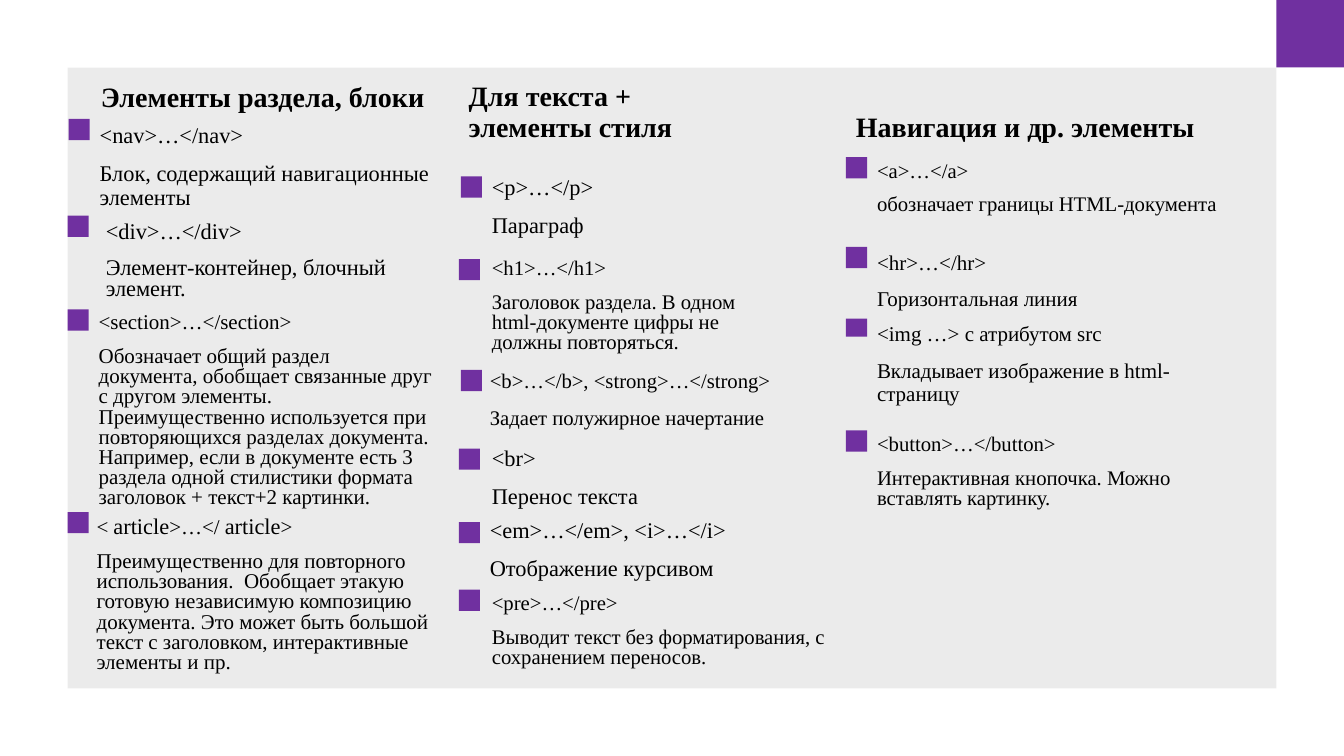
from lxml import etree
from pptx import Presentation
from pptx.dml.color import RGBColor
from pptx.enum.shapes import MSO_SHAPE
from pptx.enum.text import MSO_ANCHOR, MSO_AUTO_SIZE, PP_ALIGN
from pptx.oxml.ns import qn
from pptx.util import Inches, Pt

RECT = MSO_SHAPE.RECTANGLE
TOP, BOTTOM = MSO_ANCHOR.TOP, MSO_ANCHOR.BOTTOM
NO_FIT = MSO_AUTO_SIZE.NONE
LEFT = PP_ALIGN.LEFT
PURPLE = RGBColor(0x70, 0x30, 0xA0)
GRAY = RGBColor(0xD9, 0xD9, 0xD9)
BLACK = RGBColor(0, 0, 0)
SERIF, SANS = "Times New Roman", "Calibri"
MARK = 0.21

ARTICLE_TAG = [("<", 15, SERIF), (" ", 16, SANS), ("article", 16, SERIF),
               (">…</", 15, SERIF), (" ", 16, SANS), ("article", 16, SERIF),
               (">", 15, SERIF)]

# Each entry: text box, marker position and height, size, line spacing, tag, description.
SECTIONS = [
    ((0.89, 1.18, 3.61, 0.98), (0.68, 1.18, MARK), 16, 0.9, "<nav>…</nav>",
     "Блок, содержащий навигационные элементы"),
    ((0.95, 2.16, 3.01, 0.94), (0.67, 2.14, MARK), 16, 0.8, "<div>…</div>",
     "Элемент-контейнер, блочный элемент."),
    ((0.88, 3.06, 3.51, 2.13), (0.67, 3.07, MARK), 15, 0.8, "<section>…</section>",
     "Обозначает общий раздел документа, обобщает связанные друг с другом элементы. "
     "Преимущественно используется при повторяющихся разделах документа. Например, "
     "если в документе есть 3 раздела одной стилистики формата заголовок + текст+2 картинки."),
    ((0.86, 5.08, 3.61, 1.75), (0.67, 5.08, MARK), 15, 0.8, ARTICLE_TAG,
     "Преимущественно для повторного использования.  Обобщает этакую готовую "
     "независимую композицию документа. Это может быть большой текст с заголовком, "
     "интерактивные элементы и пр."),
]
TEXT_STYLES = [
    ((4.78, 1.7, 3.61, 0.88), (4.57, 1.75, MARK), 16, 0.9, "<p>…</p>", "Параграф"),
    ((4.78, 2.53, 2.94, 1.09), (4.55, 2.57, MARK), 14.8, 0.8, "<h1>…</h1>",
     "Заголовок раздела. В одном html-документе цифры не должны повторяться."),
    ((4.76, 3.63, 3.18, 0.81), (4.57, 3.67, MARK), 14.8, 0.9,
     "<b>…</b>, <strong>…</strong>", "Задает полужирное начертание"),
    ((4.78, 4.39, 3.18, 0.81), (4.55, 4.45, MARK), 16, 0.9, "<br>", "Перенос текста"),
    ((4.76, 5.1, 3.18, 0.81), (4.55, 5.18, MARK), 16, 0.9,
     "<em>…</em>, <i>…</i>", "Отображение курсивом"),
    ((4.78, 5.85, 3.61, 0.88), (4.55, 5.85, MARK), 14.8, 0.8, "<pre>…</pre>",
     "Выводит текст без форматирования, с сохранением переносов."),
]
NAVIGATION = [
    ((8.6, 1.56, 3.61, 0.88), (8.39, 1.56, MARK), 14.8, 0.8, "<a>…</a>",
     "обозначает границы HTML-документа"),
    ((8.6, 2.45, 3.72, 0.72), (8.39, 2.45, MARK), 15, 0.9, "<hr>…</hr>",
     "Горизонтальная линия"),
    ((8.6, 3.16, 3.61, 0.98), (8.39, 3.16, 0.18), 15, 0.9, "<img …> с атрибутом src",
     "Вкладывает изображение в html-страницу"),
    ((8.6, 4.27, 3.61, 0.88), (8.39, 4.27, MARK), 14.8, 0.8, "<button>…</button>",
     "Интерактивная кнопочка. Можно вставлять картинку."),
]
COLUMNS = [
    ("Элементы раздела, блоки", (0.9, 0.76, 3.49, 0.42), SECTIONS),
    ("Для текста + элементы стиля", (4.55, 0.76, 2.29, 0.71), TEXT_STYLES),
    ("Навигация и др. элементы", (8.39, 0.76, 3.93, 0.71), NAVIGATION),
]


def set_format(target, values):
    """Set each attribute named in values on target."""
    for name, value in values.items():
        setattr(target, name, value)


def add_block(s, box, color, alpha=None):
    """Draw a plain filled rectangle, optionally translucent."""
    sp = s.shapes.add_shape(RECT, *map(Inches, box))
    sp.shadow.inherit = False
    sp.fill.solid()
    sp.fill.fore_color.rgb = color
    sp.line.fill.background()
    if alpha is not None:
        clr = sp.element.spPr.find(".//" + qn("a:srgbClr"))
        etree.SubElement(clr, qn("a:alpha")).set("val", str(alpha * 1000))


def add_text(s, box, paragraphs, size, spacing, bold=False, anchor=TOP, sp=None):
    """Fill a text box, or the given placeholder, with formatted paragraphs."""
    left, top, width, height = map(Inches, box)
    if sp is None:
        sp = s.shapes.add_textbox(left, top, width, height)
    else:
        s.shapes.element.append(sp.element)
    set_format(sp, {"left": left, "top": top, "width": width, "height": height})
    tf = sp.text_frame
    set_format(tf, {"word_wrap": True, "auto_size": NO_FIT, "vertical_anchor": anchor})
    for i, content in enumerate(paragraphs):
        p = tf.add_paragraph() if i else tf.paragraphs[0]
        set_format(p, {"alignment": LEFT, "line_spacing": spacing,
                       "space_before": Pt(10 if i else 0), "space_after": Pt(0)})
        pPr = p._p.get_or_add_pPr()
        pPr.set("marL", "0")
        pPr.set("indent", "0")
        etree.SubElement(pPr, qn("a:buNone"))
        runs = [(content, size, SERIF)] if isinstance(content, str) else content
        for text, run_size, face in runs:
            r = p.add_run()
            r.text = text
            set_format(r.font, {"size": Pt(run_size), "name": face, "bold": bold})
            r.font.color.rgb = BLACK


def add_column(s, heading, box, entries, placeholders):
    """Place a heading and its marked tag descriptions."""
    add_text(s, box, [heading], 20, 0.9, True, BOTTOM, placeholders.get(heading))
    for text_box, (x, y, height), size, spacing, tag, description in entries:
        if isinstance(tag, list):
            description = [(description, size, SERIF)]
        add_text(s, text_box, [tag, description], size, spacing,
                 sp=placeholders.get(str(tag)))
        add_block(s, (x, y, MARK, height), PURPLE)


def build_slide(prs):
    """Build the three-column HTML elements slide."""
    s = prs.slides.add_slide(prs.slide_layouts[1])
    placeholders = {COLUMNS[0][0]: s.shapes.title, "<div>…</div>": s.placeholders[1]}
    add_block(s, (0.67, 0.67, 11.99, 6.16), GRAY, 50)
    add_block(s, (12.66, 0, 0.67, 0.67), PURPLE)
    for heading, box, entries in COLUMNS:
        add_column(s, heading, box, entries, placeholders)


def main():
    """Create and save the presentation."""
    prs = Presentation()
    set_format(prs, {"slide_width": Inches(13.33), "slide_height": Inches(7.5)})
    build_slide(prs)
    prs.save("out.pptx")


if __name__ == "__main__":
    main()
